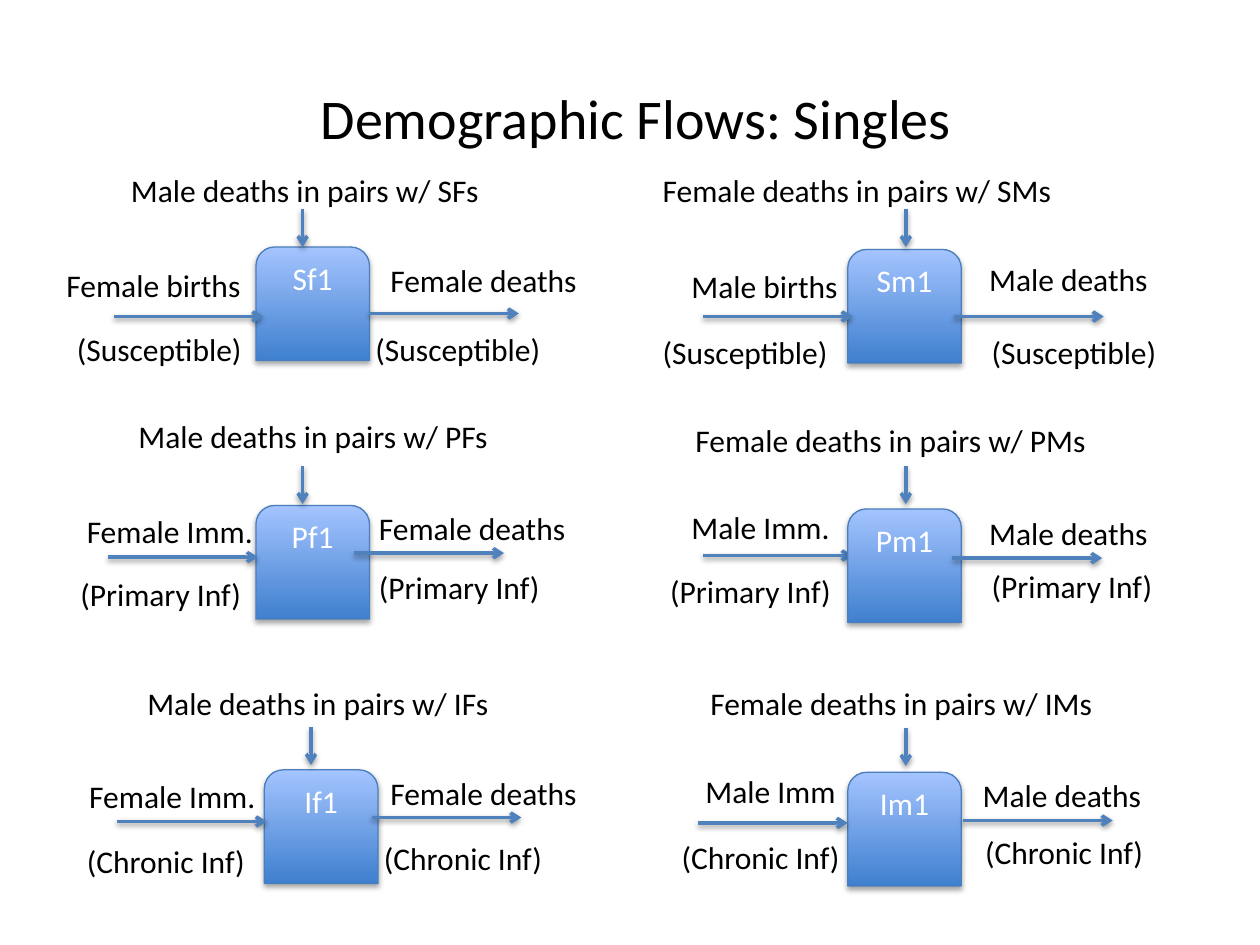
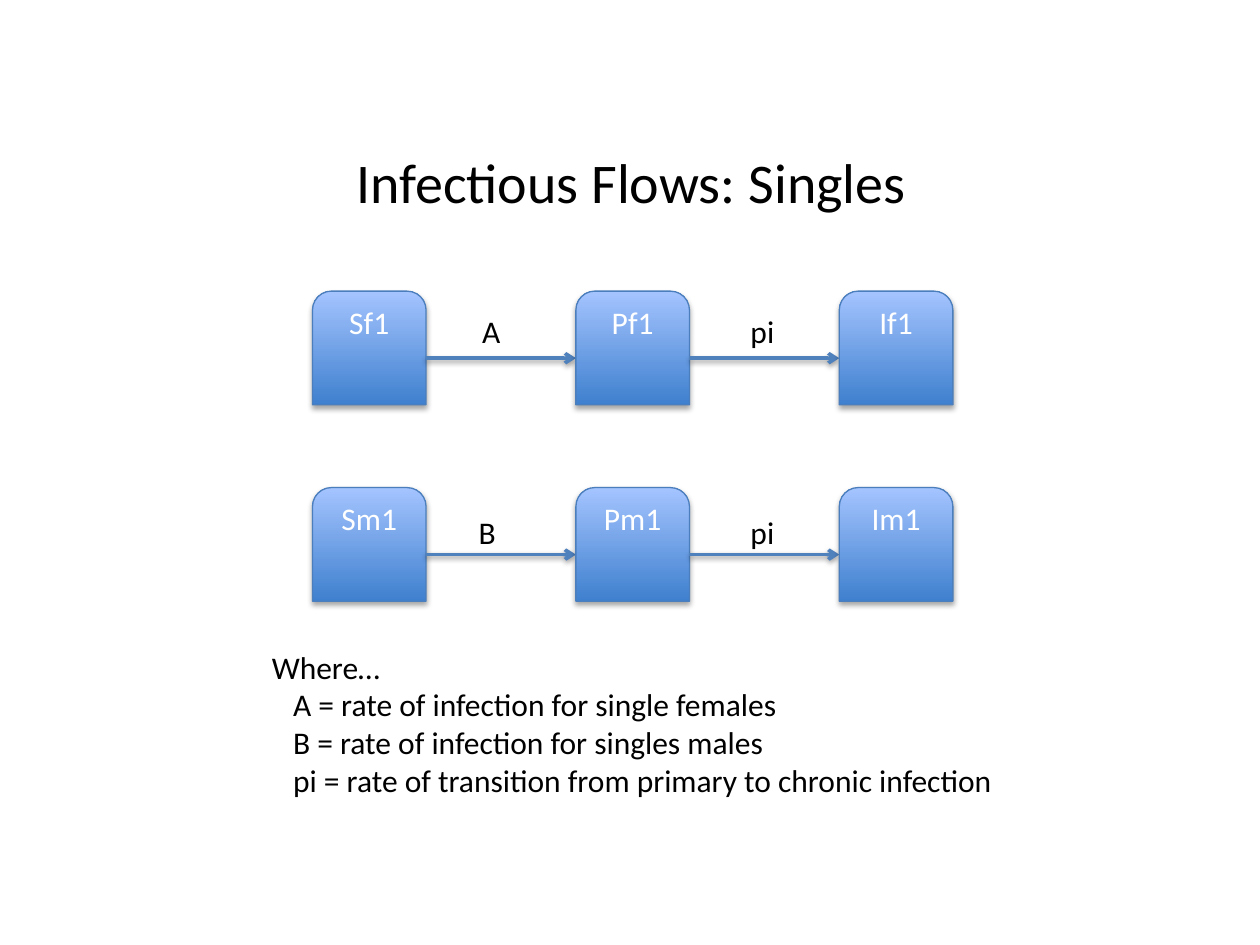
from dataclasses import dataclass

from lxml.etree import SubElement
from pptx import Presentation
from pptx.dml.color import RGBColor
from pptx.enum.shapes import MSO_CONNECTOR, MSO_SHAPE
from pptx.enum.text import MSO_ANCHOR, PP_ALIGN
from pptx.oxml.ns import qn
from pptx.util import Cm, Pt

HUES = {"text": "000000", "code": "FFFFFF", "low": "3F80CE", "high": "A4C4FF",
        "edge": "4B7EBC", "flow": "4F81BD", "shade": "000000"}
FONT = "Calibri"
SIDE = 2.29   # box side, cm
RUN = 3.02    # length of a level arrow
DROP = 0.76   # length of a downward arrow
Spot = tuple[float, float]

# Label widths in cm
WIDTHS = {
    "(Susceptible)": 3.86, "(Primary Inf)": 3.78, "(Chronic Inf)": 3.73,
    "Female births": 4.06, "Female Imm.": 3.91, "Female deaths": 4.32,
    "Male births": 3.51, "Male Imm.": 3.33, "Male Imm": 3.18, "Male deaths": 3.76,
    "Male deaths in pairs w/ SFs": 7.62, "Female deaths in pairs w/ SMs": 8.46,
    "Male deaths in pairs w/ PFs": 7.67, "Female deaths in pairs w/ PMs": 8.48,
    "Male deaths in pairs w/ IFs": 7.49, "Female deaths in pairs w/ IMs": 8.33,
    "A": 0.94, "B": 0.89, "pi": 0.99,
}


@dataclass
class Label:
    text: str
    at: Spot


@dataclass
class Stage:
    code: str
    at: Spot
    inflow: Spot
    outflow: Spot
    drop: Spot
    labels: list[Label]
    under: bool = False  # inflow arrow passes behind the box


def hue(name: str) -> RGBColor:
    return RGBColor.from_string(HUES[name])


def style(para, size: int, name: str) -> None:
    para.font.name = FONT
    para.font.size = Pt(size)
    para.font.color.rgb = hue(name)


def shade(shape, dist: float, alpha: int) -> None:
    """Add a soft shadow that falls straight down."""
    group = SubElement(shape._element.spPr, qn("a:effectLst"))
    outer = SubElement(group, qn("a:outerShdw"), blurRad=str(Pt(3.15)),
                       dist=str(Pt(dist)), dir="5400000", rotWithShape="0")
    tone = SubElement(outer, qn("a:srgbClr"), val=HUES["shade"])
    SubElement(tone, qn("a:alpha"), val=str(alpha * 1000))


def add_title(deck, text: str, at: Spot):
    slide = deck.slides.add_slide(deck.slide_layouts[5])
    title = slide.shapes.title
    title.left, title.top = Cm(at[0]), Cm(at[1])
    title.width, title.height = Cm(19.35), Cm(2.77)
    title.text_frame.text = text
    title.text_frame.vertical_anchor = MSO_ANCHOR.MIDDLE
    para = title.text_frame.paragraphs[0]
    para.alignment = PP_ALIGN.CENTER
    style(para, 32, "text")
    return slide


def add_box(slide, code: str, at: Spot) -> None:
    box = slide.shapes.add_shape(MSO_SHAPE.ROUND_2_SAME_RECTANGLE,
                                 Cm(at[0]), Cm(at[1]), Cm(SIDE), Cm(SIDE))
    box.fill.gradient()
    box.fill.gradient_angle = 90
    for stop, name, place in zip(box.fill.gradient_stops, ("low", "high"), (0, 1)):
        stop.color.rgb = hue(name)
        stop.position = place
    box.line.color.rgb = hue("edge")
    box.line.width = Pt(0.75)
    shade(box, 1.8, 35)
    frame = box.text_frame
    frame.text = code
    frame.vertical_anchor = MSO_ANCHOR.TOP
    frame.paragraphs[0].alignment = PP_ALIGN.CENTER
    style(frame.paragraphs[0], 18, "code")


def add_arrow(slide, at: Spot, dx: float = RUN, dy: float = 0) -> None:
    x, y = at
    arrow = slide.shapes.add_connector(MSO_CONNECTOR.STRAIGHT, Cm(x), Cm(y),
                                       Cm(x + dx), Cm(y + dy))
    arrow.line.color.rgb = hue("flow")
    arrow.line.width = Pt(2)
    SubElement(arrow._element.spPr.find(qn("a:ln")), qn("a:tailEnd"), type="arrow")
    shade(arrow, 1.6, 38)


def add_label(slide, label: Label) -> None:
    box = slide.shapes.add_textbox(Cm(label.at[0]), Cm(label.at[1]),
                                   Cm(WIDTHS[label.text]), Cm(1.03))
    box.text_frame.word_wrap = False
    box.text_frame.text = label.text
    style(box.text_frame.paragraphs[0], 18, "text")


def add_stage(slide, stage: Stage) -> None:
    if stage.under:
        add_arrow(slide, stage.inflow)
    add_box(slide, stage.code, stage.at)
    if not stage.under:
        add_arrow(slide, stage.inflow)
    add_arrow(slide, stage.outflow)
    add_arrow(slide, stage.drop, 0, DROP)
    for label in stage.labels:
        add_label(slide, label)


STAGES = [
    Stage("Sf1", (5.16, 4.98), (2.29, 6.38), (7.44, 6.32), (6.1, 4.22), [
        Label("Male deaths in pairs w/ SFs", (2.39, 3.33)),
        Label("Female births", (1.09, 5.23)), Label("Female deaths", (7.62, 5.13)),
        Label("(Susceptible)", (1.3, 6.53)), Label("(Susceptible)", (7.32, 6.53))]),
    Stage("Sm1", (17.09, 5.03), (14.17, 6.38), (19.23, 6.38), (18.26, 4.22), [
        Label("Female deaths in pairs w/ SMs", (13.11, 3.33)),
        Label("Male births", (13.69, 5.26)), Label("Male deaths", (19.69, 5.11)),
        Label("(Susceptible)", (13.11, 6.58)), Label("(Susceptible)", (19.74, 6.58))]),
    Stage("Pf1", (5.16, 10.19), (2.18, 11.23), (7.14, 11.15), (6.1, 9.4), [
        Label("Male deaths in pairs w/ PFs", (2.54, 8.28)),
        Label("Female Imm.", (1.5, 10.19)), Label("Female deaths", (7.39, 10.13)),
        Label("(Primary Inf)", (1.37, 11.46)), Label("(Primary Inf)", (7.39, 11.33))]),
    Stage("Pm1", (17.09, 10.26), (14.17, 11.2), (19.2, 11.25), (18.26, 9.4), [
        Label("Female deaths in pairs w/ PMs", (13.77, 8.36)),
        Label("Male Imm.", (13.69, 10.11)), Label("Male deaths", (19.69, 10.24)),
        Label("(Primary Inf)", (13.26, 11.4)), Label("(Primary Inf)", (19.74, 11.3))],
        under=True),
    Stage("If1", (5.33, 15.52), (2.36, 16.56), (7.49, 16.48), (6.27, 14.66), [
        Label("Male deaths in pairs w/ IFs", (2.72, 13.67)),
        Label("Female Imm.", (1.55, 15.54)), Label("Female deaths", (7.62, 15.47)),
        Label("(Chronic Inf)", (1.5, 16.84)), Label("(Chronic Inf)", (7.49, 16.79))]),
    Stage("Im1", (17.09, 15.57), (14.07, 16.59), (19.41, 16.54), (18.26, 14.68), [
        Label("Female deaths in pairs w/ IMs", (14.07, 13.67)),
        Label("Male Imm", (13.97, 15.44)), Label("Male deaths", (19.56, 15.52)),
        Label("(Chronic Inf)", (13.49, 16.76)), Label("(Chronic Inf)", (19.61, 16.66))]),
]

CHAINS = [  # top of the row, box codes, rate labels
    (5.87, ("Sf1", "Pf1", "If1"), [Label("A", (9.47, 6.17)), Label("pi", (14.88, 6.17))]),
    (9.83, ("Sm1", "Pm1", "Im1"), [Label("B", (9.4, 10.21)), Label("pi", (14.88, 10.21))]),
]

NOTES = ["Where…",
         "A = rate of infection for single females",
         "B = rate of infection for singles males",
         "pi = rate of transition from primary to chronic infection"]

deck = Presentation()
deck.slide_width, deck.slide_height = Cm(25.4), Cm(19.05)

# Demographic flows
slide = add_title(deck, "Demographic Flows: Singles", (3.15, 0.97))
for stage in STAGES:
    add_stage(slide, stage)

# Infectious flows
slide = add_title(deck, "Infectious Flows: Singles", (3.05, 2.26))
for top, codes, rates in CHAINS:
    for col, code in enumerate(codes):
        left = 6.3 + col * (SIDE + RUN)
        add_box(slide, code, (left, top))
        if col < len(rates):
            add_arrow(slide, (left + SIDE, top + 1.35))
            add_label(slide, rates[col])

# Key to the rates
key = slide.shapes.add_textbox(Cm(5.23), Cm(12.93), Cm(16.28), Cm(4.11))
key.text_frame.word_wrap = True
key.text_frame.text = "\n".join(NOTES)
for row, para in enumerate(key.text_frame.paragraphs):
    style(para, 18, "text")
    if row:
        para._p.get_or_add_pPr().set("marL", str(Cm(0.43)))

deck.save("out.pptx")
